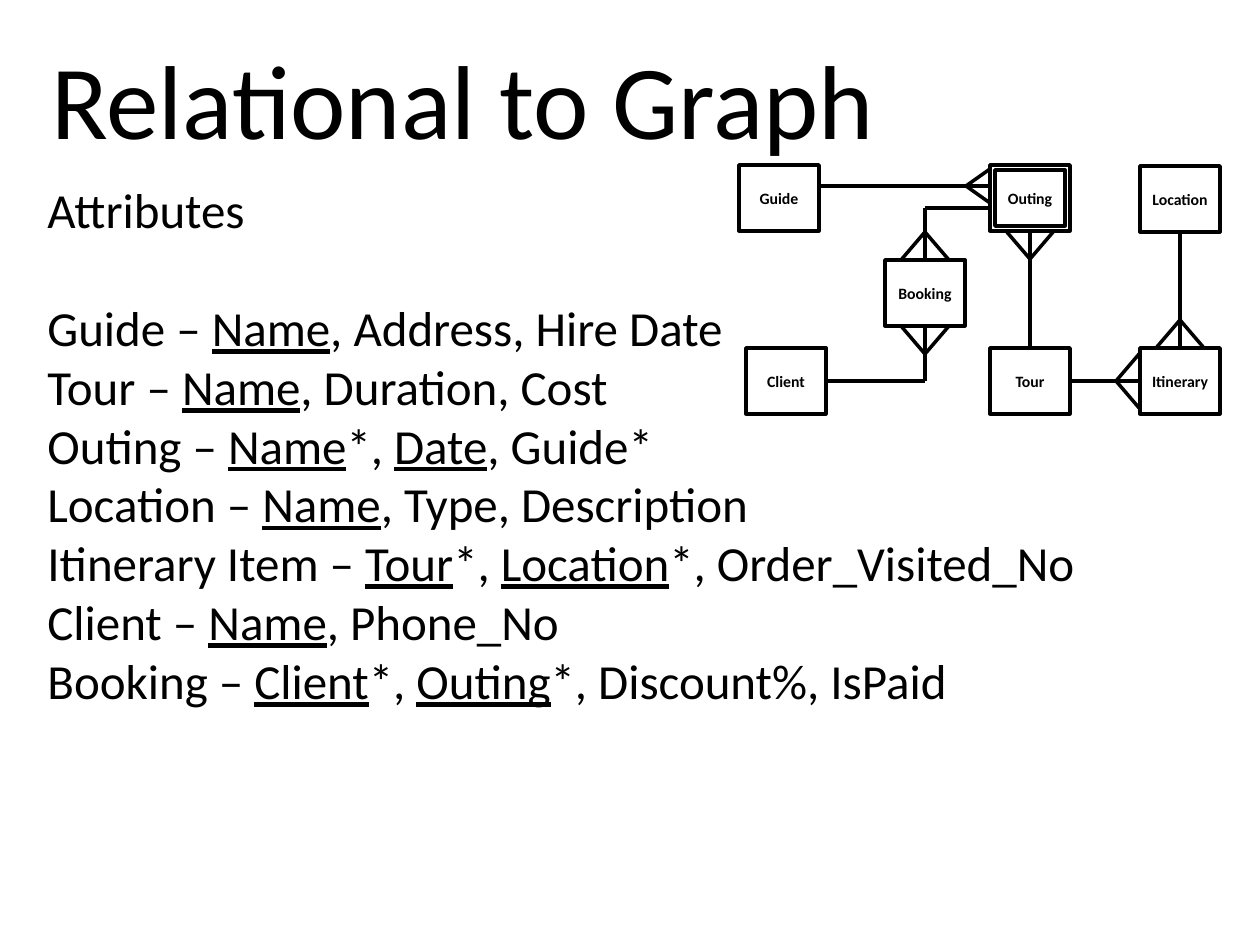
from lxml.etree import SubElement
from pptx import Presentation
from pptx.dml.color import RGBColor
from pptx.enum.shapes import MSO_CONNECTOR, MSO_SHAPE
from pptx.enum.text import MSO_ANCHOR, MSO_AUTO_SIZE, PP_ALIGN
from pptx.oxml.ns import qn
from pptx.util import Inches, Pt

PX_PER_INCH = 126
BOX_W, BOX_H = 80, 66
TOP, LEFT, BOTTOM, RIGHT = range(4)
COLORS = {"ink": "000000", "paper": "FFFFFF"}
TITLE = {"name": "Calibri", "size": Pt(60)}
BODY = {"name": "Calibri", "size": Pt(28)}
LABEL = {"name": "Calibri", "size": Pt(9), "bold": True}

ATTRIBUTES = [
    "Guide – |Name|, Address, Hire Date",
    "Tour – |Name|, Duration, Cost",
    "Outing – |Name|*, |Date|, Guide*",
    "Location – |Name|, Type, Description",
    "Itinerary Item – |Tour|*, |Location|*, Order_Visited_No",
    "Client – |Name|, Phone_No",
    "Booking – |Client|*, |Outing|*, Discount%, IsPaid",
]
ENTITIES = {
    "Guide": (739, 165),
    "Outing": (990, 165),
    "Location": (1140, 166),
    "Booking": (885, 260),
    "Client": (746, 348),
    "Tour": (990, 348),
    "Itinerary": (1140, 348),
}


def px(length):
    return Inches(length / PX_PER_INCH)


def color(name):
    return RGBColor.from_string(COLORS[name])


class DiagramSlide:
    def __init__(self, slide):
        self.slide = slide
        self.shapes = slide.shapes
        background = slide.background.fill
        background.solid()
        background.fore_color.rgb = color("paper")

    def add_runs(self, paragraph, marked_text, style):
        for index, part in enumerate(marked_text.split("|")):
            run = paragraph.add_run()
            run.text = part
            for key, value in style.items():
                setattr(run.font, key, value)
            run.font.color.rgb = color("ink")
            if index % 2:
                run.font.underline = True

    def text(self, bounds, lines, style, **frame_format):
        frame = self.shapes.add_textbox(*map(px, bounds)).text_frame
        for key, value in frame_format.items():
            setattr(frame, key, value)
        for index, line in enumerate(lines):
            paragraph = frame.add_paragraph() if index else frame.paragraphs[0]
            self.add_runs(paragraph, line, style)
        return frame

    def outline(self, line):
        line.color.rgb = color("ink")
        line.width = Pt(2)

    def box(self, bounds, label=""):
        box = self.shapes.add_shape(MSO_SHAPE.RECTANGLE, *map(px, bounds))
        box.shadow.inherit = False
        box.fill.background()
        self.outline(box.line)
        if label:
            frame = box.text_frame
            frame_format = {"word_wrap": False, "vertical_anchor": MSO_ANCHOR.MIDDLE}
            frame_format |= dict.fromkeys(
                ("margin_left", "margin_top", "margin_right", "margin_bottom"), 0)
            for key, value in frame_format.items():
                setattr(frame, key, value)
            frame.paragraphs[0].alignment = PP_ALIGN.CENTER
            self.add_runs(frame.paragraphs[0], label, LABEL)
        return box

    def line(self, start, end, begin=None, finish=None):
        line = self.shapes.add_connector(MSO_CONNECTOR.STRAIGHT, *map(px, start + end))
        self.outline(line.line)
        SubElement(line._element.spPr, qn("a:effectLst"))
        if begin:
            line.begin_connect(*begin)
        if finish:
            line.end_connect(*finish)

    def crows_foot(self, x, y, dx, dy, spread):
        for offset in (-spread, spread):
            toe = (x, y + offset) if dx else (x + offset, y)
            self.line((x + dx, y + dy), toe)


def main():
    presentation = Presentation()
    presentation.slide_width, presentation.slide_height = Inches(10), Inches(7.5)
    diagram = DiagramSlide(presentation.slides.add_slide(presentation.slide_layouts[6]))

    diagram.text((39, 29, 1053, 137), ["Relational to Graph"], TITLE,
                 word_wrap=True, vertical_anchor=MSO_ANCHOR.MIDDLE)
    attributes = diagram.text((35, 173, 1065, 547), ["Attributes", *ATTRIBUTES], BODY,
                              word_wrap=False, auto_size=MSO_AUTO_SIZE.SHAPE_TO_FIT_TEXT)
    attributes.paragraphs[1].space_before = Pt(34)

    entities = {}
    for name, (x, y) in ENTITIES.items():
        label = "" if name == "Outing" else name
        entities[name] = diagram.box((x, y, BOX_W, BOX_H), label)
    outing_x, outing_y = ENTITIES["Outing"]
    diagram.box((outing_x + 5, outing_y + 5, BOX_W - 10, BOX_H - 10), "Outing")

    diagram.line((1030, 348), (1030, 231),
                 (entities["Tour"], TOP), (entities["Outing"], BOTTOM))
    diagram.line((1180, 348), (1180, 232),
                 (entities["Itinerary"], TOP), (entities["Location"], BOTTOM))
    diagram.line((1070, 381), (1140, 381),
                 (entities["Tour"], RIGHT), (entities["Itinerary"], LEFT))
    diagram.line((826, 381), (925, 381), begin=(entities["Client"], RIGHT))
    diagram.line((925, 381), (925, 326), finish=(entities["Booking"], BOTTOM))
    diagram.line((925, 260), (925, 208), begin=(entities["Booking"], TOP))
    diagram.line((925, 208), (990, 208))
    diagram.line((819, 186), (990, 186))

    for x, y, dy in ((1030, 231, 28), (925, 326, 28), (925, 260, -28), (1180, 348, -28)):
        diagram.crows_foot(x, y, 0, dy, 24)
    for x, y, spread in ((990, 186, 17), (1140, 381, 28)):
        diagram.crows_foot(x, y, -24, 0, spread)

    presentation.save("out.pptx")


if __name__ == "__main__":
    main()
